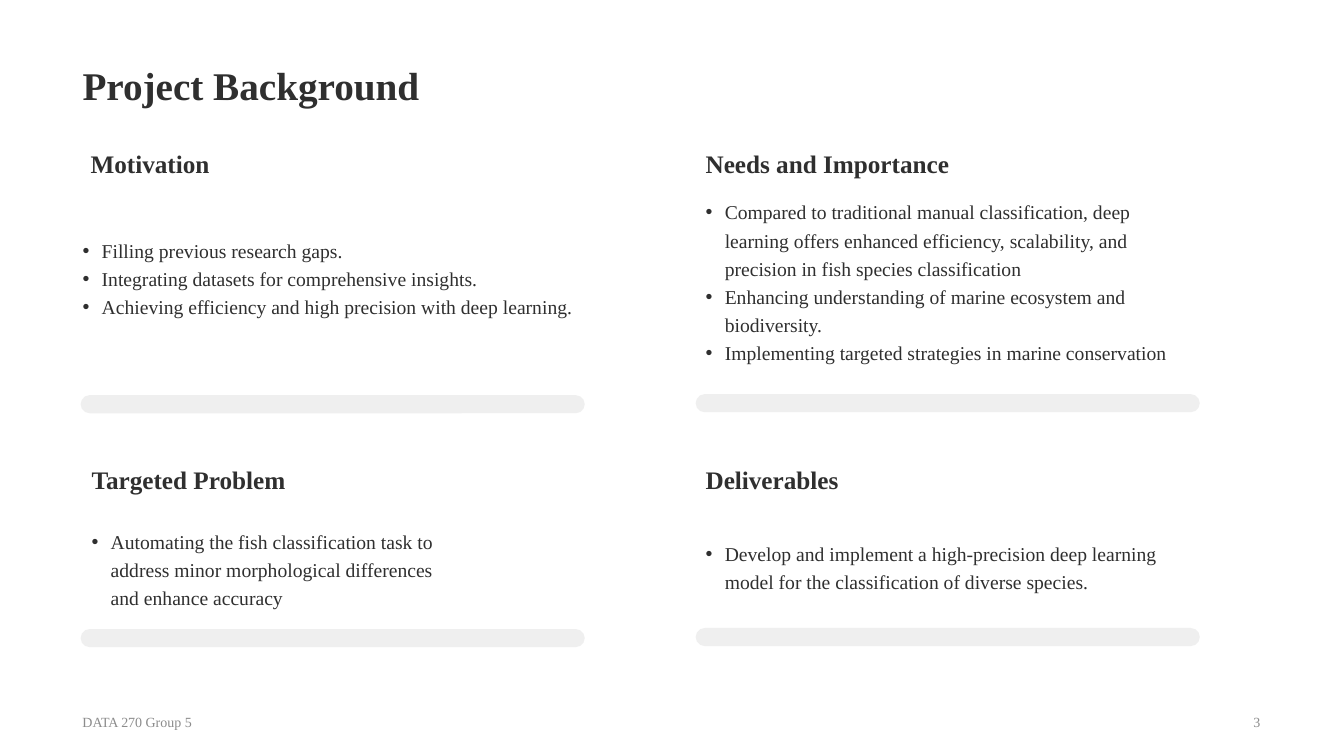
from dataclasses import dataclass

from lxml import etree
from pptx import Presentation
from pptx import util as u
from pptx.dml.color import RGBColor
from pptx.enum import shapes, text
from pptx.oxml import ns

INK = RGBColor(0x2F, 0x2F, 0x2F)
MUTED = RGBColor(0x8C, 0x8C, 0x8C)
BAR_GREY = RGBColor(0x96, 0x96, 0x96)
FONT = "Times New Roman"
BAR_OPACITY = 15
BULLET_INDENT = u.Inches(0.19)


@dataclass(frozen=True)
class Box:
    left: float
    top: float
    width: float
    height: float

    def emu(self) -> tuple:
        return tuple(u.Inches(v) for v in (self.left, self.top, self.width, self.height))


@dataclass(frozen=True)
class Style:
    size: int
    color: RGBColor = INK
    bold: bool = False
    anchor: text.MSO_ANCHOR = text.MSO_ANCHOR.BOTTOM
    align: text.PP_ALIGN = text.PP_ALIGN.LEFT
    inset: float = 0.05
    spacing: float = 1.0
    bulleted: bool = False


@dataclass(frozen=True)
class Section:
    heading: str
    heading_left: float
    heading_top: float
    points: tuple
    points_box: Box
    bar_left: float
    bar_top: float


TITLE = Style(28, bold=True)
HEADING = Style(18, bold=True)
POINTS = Style(14, anchor=text.MSO_ANCHOR.TOP, inset=0.1, spacing=1.2, bulleted=True)
FOOTER = Style(10, MUTED, anchor=text.MSO_ANCHOR.MIDDLE)
PAGE_NUMBER = Style(10, MUTED, anchor=text.MSO_ANCHOR.MIDDLE, align=text.PP_ALIGN.RIGHT)

SECTIONS = (
    Section("Motivation", 0.8, 1.42,
            ("Filling previous research gaps.",
             "Integrating datasets for comprehensive insights.",
             "Achieving efficiency and high precision with deep learning."),
            Box(0.72, 2.22, 5.08, 1.05), 0.8, 3.92),
    Section("Needs and Importance", 6.9, 1.42,
            ("Compared to traditional manual classification, deep learning offers enhanced "
             "efficiency, scalability, and precision in fish species classification",
             "Enhancing understanding of marine ecosystem and biodiversity.",
             "Implementing targeted strategies in marine conservation"),
            Box(6.9, 1.84, 5, 2.08), 6.9, 3.91),
    Section("Targeted Problem", 0.81, 4.56,
            ("Automating the fish classification task to address minor morphological "
             "differences and enhance accuracy",),
            Box(0.81, 5.11, 3.8, 1.05), 0.8, 6.24),
    Section("Deliverables", 6.9, 4.56,
            ("Develop and implement a high-precision deep learning model for the "
             "classification of diverse species.",),
            Box(6.9, 5.23, 4.83, 0.98), 6.9, 6.23),
)


def add_bullet(paragraph) -> None:
    properties = paragraph._p.get_or_add_pPr()
    properties.set("marL", str(BULLET_INDENT))
    properties.set("indent", str(-BULLET_INDENT))
    bullet_color = etree.SubElement(properties, ns.qn("a:buClr"))
    etree.SubElement(bullet_color, ns.qn("a:srgbClr"), val=str(INK))
    etree.SubElement(properties, ns.qn("a:buFont"), typeface="Arial")
    etree.SubElement(properties, ns.qn("a:buChar"), char="•")


def add_text(slide, box: Box, lines: tuple, style: Style) -> None:
    frame = slide.shapes.add_textbox(*box.emu()).text_frame
    frame.word_wrap = True
    frame.vertical_anchor = style.anchor
    frame.margin_left = frame.margin_right = u.Inches(0.1)
    frame.margin_top = frame.margin_bottom = u.Inches(style.inset)
    for index, line in enumerate(lines):
        paragraph = frame.add_paragraph() if index else frame.paragraphs[0]
        paragraph.text = line
        paragraph.alignment = style.align
        paragraph.line_spacing = style.spacing
        if style.bulleted:
            add_bullet(paragraph)
        paragraph.font.name = FONT
        paragraph.font.size = u.Pt(style.size)
        paragraph.font.bold = style.bold
        paragraph.font.color.rgb = style.color


def add_bar(slide, box: Box) -> None:
    bar = slide.shapes.add_shape(shapes.MSO_SHAPE.ROUNDED_RECTANGLE, *box.emu())
    bar.adjustments[0] = 0.5
    bar.shadow.inherit = False
    bar.line.fill.background()
    bar.fill.solid()
    bar.fill.fore_color.rgb = BAR_GREY
    color = bar._element.spPr.find(ns.qn("a:solidFill")).find(ns.qn("a:srgbClr"))
    etree.SubElement(color, ns.qn("a:alpha"), val=str(BAR_OPACITY * 1000))


def add_section(slide, section: Section) -> None:
    heading_box = Box(section.heading_left, section.heading_top, 3, 0.4)
    add_text(slide, heading_box, (section.heading,), HEADING)
    add_text(slide, section.points_box, section.points, POINTS)
    add_bar(slide, Box(section.bar_left, section.bar_top, 5, 0.18))


def main() -> None:
    deck = Presentation()
    deck.slide_width = u.Inches(13.33)
    deck.slide_height = u.Inches(7.5)
    slide = deck.slides.add_slide(deck.slide_layouts[6])
    add_text(slide, Box(0.72, 0.14, 11.88, 0.98), ("Project Background",), TITLE)
    for section in SECTIONS:
        add_section(slide, section)
    add_text(slide, Box(0.72, 7.01, 4.1, 0.3), ("DATA 270 Group 5",), FOOTER)
    add_text(slide, Box(8.5, 7.01, 4.1, 0.3), ("3",), PAGE_NUMBER)
    deck.save("out.pptx")


if __name__ == "__main__":
    main()
